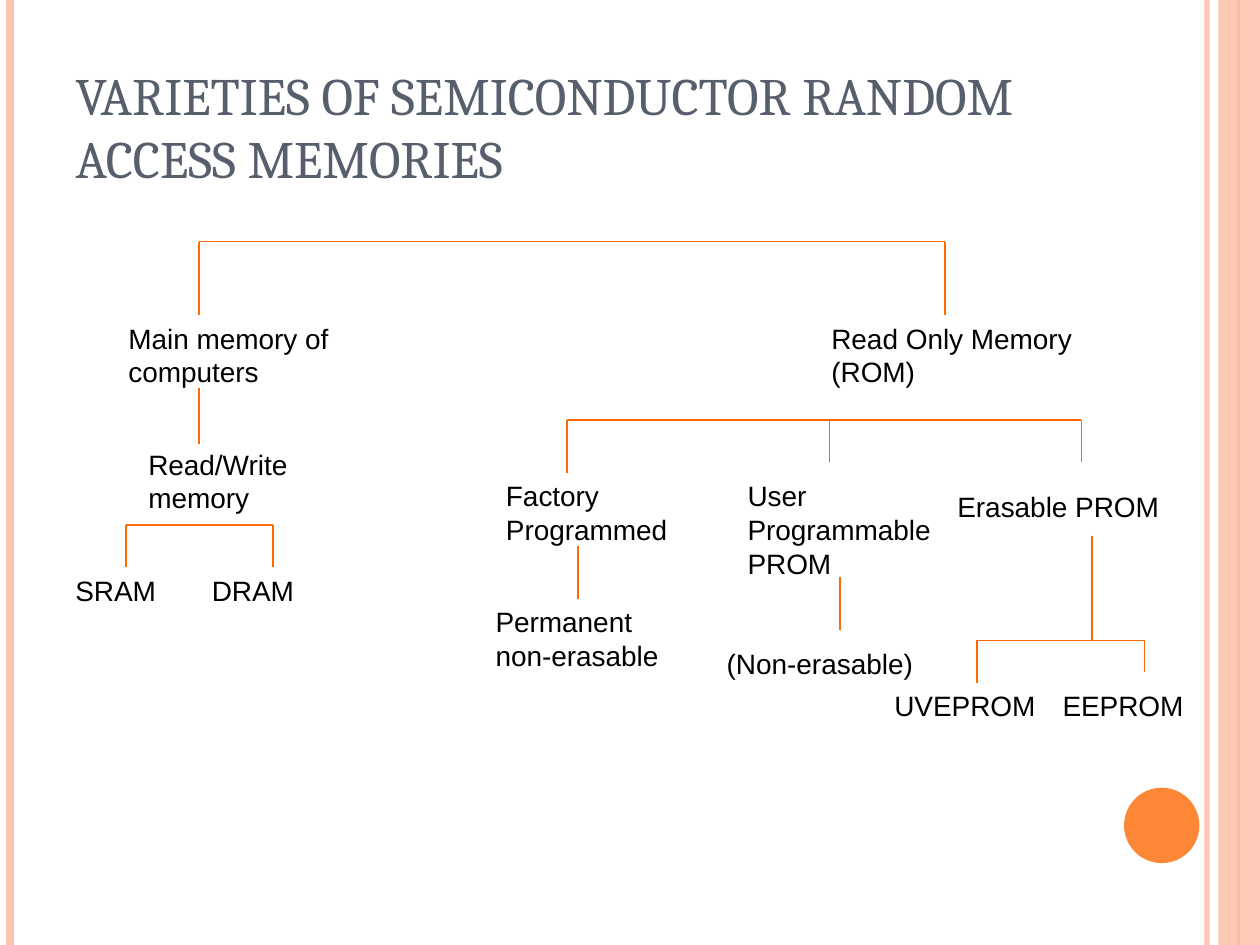
from typing import NamedTuple

from lxml.etree import SubElement
from pptx import Presentation
from pptx.dml.color import RGBColor as RGB
from pptx.enum.shapes import MSO_CONNECTOR as CONN, MSO_SHAPE as SHAPE
from pptx.enum.text import MSO_ANCHOR as ANCHOR, MSO_AUTO_SIZE as AUTO, PP_ALIGN as ALIGN
from pptx.oxml.ns import qn
from pptx.util import Cm, Pt

COLORS = {"peach": "FEC3AE", "orange": "FE8637", "branch": "FF6903",
          "title": "575F6D", "text": "000000"}
WIDTH, HEIGHT = 25.4, 19.05


class Label(NamedTuple):
    text: str
    x: float
    y: float
    w: float
    lines: int = 1


class Drop(NamedTuple):
    x: float
    bottom: float


class Branch(NamedTuple):
    y: float
    drops: tuple[Drop, ...]


class Stem(NamedTuple):
    x: float
    top: float
    bottom: float


class Stripe(NamedTuple):
    x: float
    color: str
    width: float
    opacity: int = 100


STRIPES = [Stripe(24.33, "peach", 3, 93), Stripe(0.2, "peach", 4.5),
           Stripe(24.97, "orange", 1.5), Stripe(24.77, "orange", 0.75)]
LABELS = [
    Label("Main memory of computers", 2.34, 6.35, 5.51, 2),
    Label("Read Only Memory (ROM)", 16.51, 6.35, 5.51, 2),
    Label("Read/Write memory", 2.74, 8.89, 4.65, 2),
    Label("Factory Programmed", 9.95, 9.53, 3.81, 2),
    Label("User Programmable PROM", 14.82, 9.53, 4.24, 3),
    Label("Erasable PROM", 19.05, 9.74, 4.87),
    Label("SRAM", 1.27, 11.43, 2.75),
    Label("DRAM", 4.02, 11.43, 3.38),
    Label("Permanent non-erasable", 9.74, 12.07, 3.81, 2),
    Label("(Non-erasable)", 14.4, 12.91, 4.45),
    Label("UVEPROM", 17.78, 13.76, 3.38),
    Label("EEPROM", 21.17, 13.76, 2.96),
]
BRANCHES = [
    Branch(4.87, (Drop(4.02, 6.35), Drop(19.05, 6.35))),
    Branch(8.47, (Drop(11.43, 9.53), Drop(16.72, 9.31), Drop(21.8, 9.31))),
    Branch(10.58, (Drop(2.54, 11.43), Drop(5.5, 11.43))),
    Branch(12.91, (Drop(19.69, 13.76), Drop(23.07, 13.55))),
]
STEMS = [Stem(4.02, 7.83, 8.96), Stem(11.65, 11.01, 12.07),
         Stem(16.93, 11.64, 12.7), Stem(22.01, 10.8, 12.91)]


def set_opacity(element, percent: int) -> None:
    for color in element.iter(qn("a:srgbClr")):
        SubElement(color, qn("a:alpha"), val=str(percent * 1000))


def add_line(s, x1: float, y1: float, x2: float, y2: float,
             color: str = "branch", width: float = 1, opacity: int = 100) -> None:
    line = s.shapes.add_connector(CONN.STRAIGHT, Cm(x1), Cm(y1), Cm(x2), Cm(y2))
    line.line.color.rgb = RGB.from_string(COLORS[color])
    line.line.width = Pt(width)
    sp_pr = line._element.spPr
    if opacity < 100:
        set_opacity(sp_pr, opacity)
    SubElement(sp_pr, qn("a:effectLst"))


def add_block(s, kind, x: float, y: float, w: float, h: float,
              color: str, opacity: int = 100) -> None:
    sp = s.shapes.add_shape(kind, Cm(x), Cm(y), Cm(w), Cm(h))
    sp.shadow.inherit = False
    sp.fill.solid()
    sp.fill.fore_color.rgb = RGB.from_string(COLORS[color])
    if opacity < 100:
        set_opacity(sp._element.spPr, opacity)
    sp.line.fill.background()


def write(sp, text: str, *, size: float = 16, font: str = "Arial",
          color: str = "text", anchor=ANCHOR.TOP, auto=AUTO.SHAPE_TO_FIT_TEXT) -> None:
    tf = sp.text_frame
    tf.word_wrap = True
    tf.auto_size = auto
    tf.vertical_anchor = anchor
    p = tf.paragraphs[0]
    p.alignment = ALIGN.LEFT
    r = p.add_run()
    r.text = text
    r.font.size = Pt(size)
    r.font.name = font
    r.font.color.rgb = RGB.from_string(COLORS[color])


def add_label(s, label: Label) -> None:
    height = 0.26 + 0.68 * label.lines
    sp = s.shapes.add_textbox(Cm(label.x), Cm(label.y), Cm(label.w), Cm(height))
    write(sp, label.text)


def add_branch(s, branch: Branch) -> None:
    add_line(s, branch.drops[0].x, branch.y, branch.drops[-1].x, branch.y)
    for drop in branch.drops:
        add_line(s, drop.x, branch.y, drop.x, drop.bottom)


def add_decoration(s) -> None:
    for stripe in STRIPES:
        add_line(s, stripe.x, 0, stripe.x, HEIGHT, stripe.color, stripe.width, stripe.opacity)
    add_block(s, SHAPE.RECTANGLE, 24.56, 0, 0.84, HEIGHT, "peach", 87)
    add_block(s, SHAPE.OVAL, 22.66, 15.88, 1.52, 1.52, "orange")


def main() -> None:
    prs = Presentation()
    prs.slide_width, prs.slide_height = Cm(WIDTH), Cm(HEIGHT)
    s = prs.slides.add_slide(prs.slide_layouts[5])
    add_decoration(s)
    title = s.shapes.title
    title.left, title.top, title.width, title.height = Cm(1.27), Cm(0.76), Cm(20.75), Cm(3.18)
    write(title, "VARIETIES OF SEMICONDUCTOR RANDOM ACCESS MEMORIES", size=30,
          font="Cambria", color="title", anchor=ANCHOR.BOTTOM, auto=AUTO.NONE)
    for branch in BRANCHES:
        add_branch(s, branch)
    for stem in STEMS:
        add_line(s, stem.x, stem.top, stem.x, stem.bottom)
    for label in LABELS:
        add_label(s, label)
    prs.save("out.pptx")


if __name__ == "__main__":
    main()
